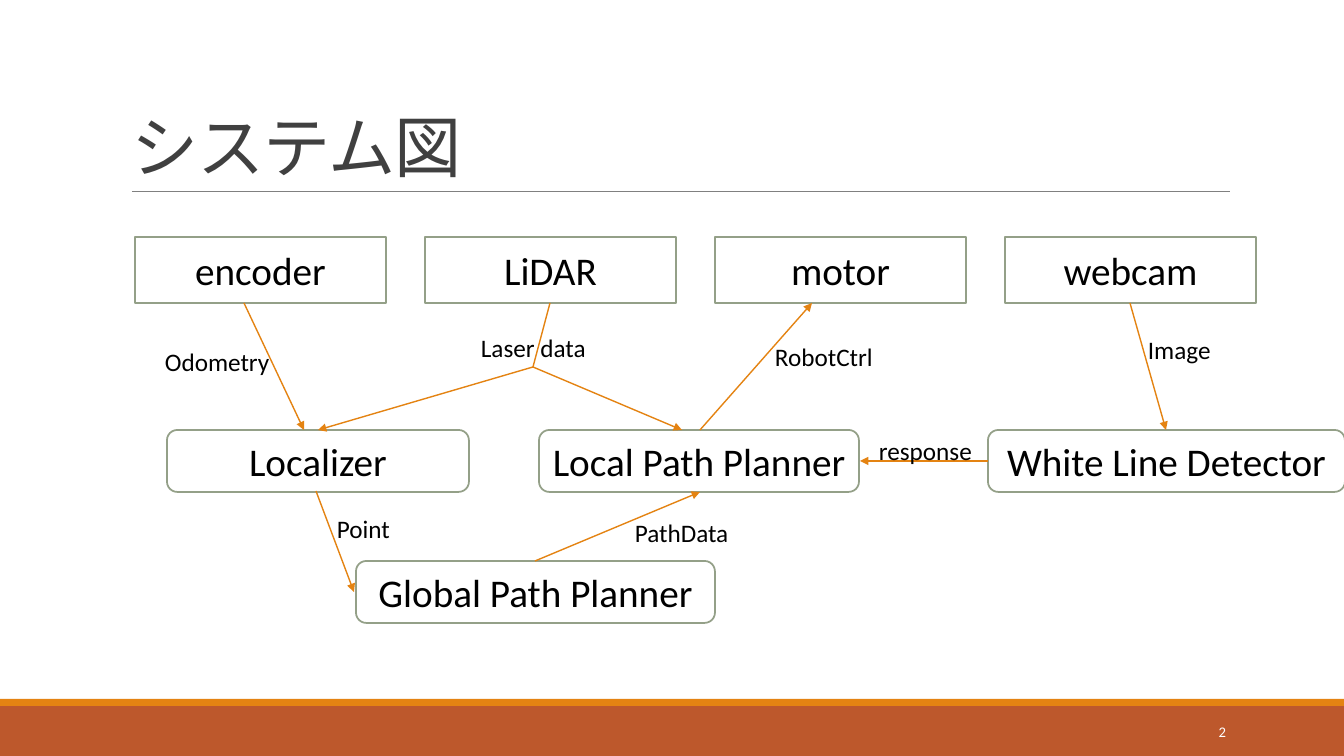
"""Draw the system diagram slide: devices, planners and the data between them."""
from lxml import etree
from pptx import Presentation, util as u
from pptx.dml.color import RGBColor
from pptx.enum import shapes, text
from pptx.oxml.ns import qn

W, H = 1344, 756
SCALE = 12192000 / W
COLORS = {"ink": "000000", "title": "404040", "paper": "FFFFFF", "border": "94A088",
          "arrow": "E48312", "band": "BD582C", "rule": "808080"}
RECT, ROUND = shapes.MSO_SHAPE.RECTANGLE, shapes.MSO_SHAPE.ROUNDED_RECTANGLE
LEFT, CENTER, RIGHT = text.PP_ALIGN.LEFT, text.PP_ALIGN.CENTER, text.PP_ALIGN.RIGHT
TOP, MIDDLE, BOTTOM = text.MSO_ANCHOR.TOP, text.MSO_ANCHOR.MIDDLE, text.MSO_ANCHOR.BOTTOM


def px(*values):
    return [u.Emu(round(v * SCALE)) for v in values]


def rgb(name):
    return RGBColor.from_string(COLORS[name])


def assign(obj, **values):
    for name, value in values.items():
        setattr(obj, name, value)


class Deck:
    def __init__(self, font):
        self.font = font
        self.prs = Presentation()
        assign(self.prs, **dict(zip(("slide_width", "slide_height"), px(W, H))))
        self.s = self.prs.slides.add_slide(self.prs.slide_layouts[5])

    def put_text(self, sp, words, size, color="ink", align=LEFT, anchor=TOP, wrap=True):
        tf = sp.text_frame
        assign(tf, word_wrap=wrap, vertical_anchor=anchor)
        p = tf.paragraphs[0]
        p.alignment = align
        r = p.add_run()
        r.text = words
        assign(r.font, name=self.font, size=u.Pt(size))
        r.font.color.rgb = rgb(color)
        return p, r

    def title(self, words, *box):
        sp = self.s.shapes.title
        assign(sp, **dict(zip(("left", "top", "width", "height"), px(*box))))
        p, r = self.put_text(sp, words, 48, "title", anchor=BOTTOM)
        sp.text_frame.auto_size = text.MSO_AUTO_SIZE.NONE
        p.line_spacing = 0.85
        r.font._element.set("spc", "-50")

    def shape(self, kind, box, fill, border=None):
        sp = self.s.shapes.add_shape(kind, *px(*box))
        sp.shadow.inherit = False
        sp.fill.solid()
        sp.fill.fore_color.rgb = rgb(fill)
        if border:
            sp.line.color.rgb = rgb(border)
            sp.line.width = u.Pt(1.25)
        else:
            sp.line.fill.background()
        return sp

    def node(self, words, kind, *box):
        sp = self.shape(kind, box, "paper", "border")
        self.put_text(sp, words, 28, align=CENTER, anchor=MIDDLE)

    def label(self, words, *box):
        sp = self.s.shapes.add_textbox(*px(*box))
        self.put_text(sp, words, 18, wrap=False)
        sp.text_frame.auto_size = text.MSO_AUTO_SIZE.SHAPE_TO_FIT_TEXT

    def number(self, words, *box):
        sp = self.s.shapes.add_textbox(*px(*box))
        self.put_text(sp, words, 10.5, "paper", RIGHT, MIDDLE)

    def line(self, *ends, color="arrow", width=1, arrow=True):
        sp = self.s.shapes.add_connector(shapes.MSO_CONNECTOR.STRAIGHT, *px(*ends))
        sp.line.color.rgb = rgb(color)
        sp.line.width = u.Pt(width)
        spPr = sp._element.spPr
        if arrow:
            etree.SubElement(spPr.find(qn("a:ln")), qn("a:tailEnd"), type="triangle")
        etree.SubElement(spPr, qn("a:effectLst"))


def main():
    d = Deck("Calibri")
    d.shape(RECT, (0, 706, W, 50), "band")
    d.shape(RECT, (0, 699, W, 7), "arrow")
    d.line(132, 191, 1230, 191, color="rule", width=0.5, arrow=False)
    d.title("システム図", 121, 31, 1109, 160)
    d.number("2", 1092, 712, 144, 40)

    for i, device in enumerate(("encoder", "LiDAR", "motor", "webcam")):
        d.node(device, RECT, 135 + 290 * i, 237, 251, 66)
    for module, x, y, w in (("Localizer", 167, 430, 302),
                            ("Local Path Planner", 539, 430, 320),
                            ("White Line Detector", 988, 430, 357),
                            ("Global Path Planner", 356, 561, 359)):
        d.node(module, ROUND, x, y, w, 62)

    fork = (533, 367)
    for ends in ((244, 303, 304, 430), (*fork, 318, 430), (*fork, 682, 430),
                 (700, 430, 812, 303), (1130, 303, 1166, 430), (988, 461, 860, 461),
                 (316, 491, 354, 592), (535, 561, 700, 492)):
        d.line(*ends)
    for words, x, y, w in (("Odometry", 155, 341, 126), ("Laser data", 471, 327, 126),
                           ("RobotCtrl", 765, 336, 143), ("Image", 1138, 329, 84),
                           ("Point", 327, 508, 74), ("PathData", 625, 512, 115),
                           ("response", 869, 430, 114)):
        d.label(words, x, y, w, 40)
    d.line(550, 303, *fork, arrow=False)
    d.prs.save("out.pptx")


if __name__ == "__main__":
    main()
